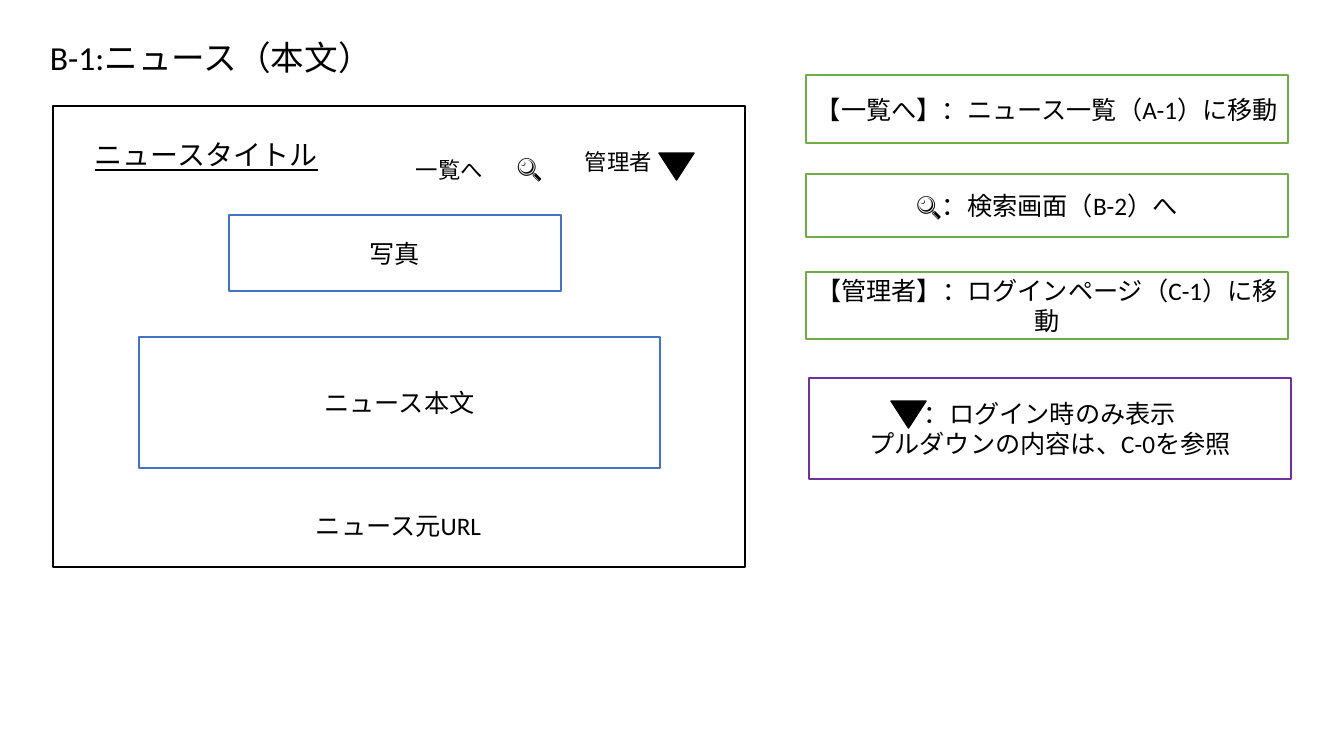
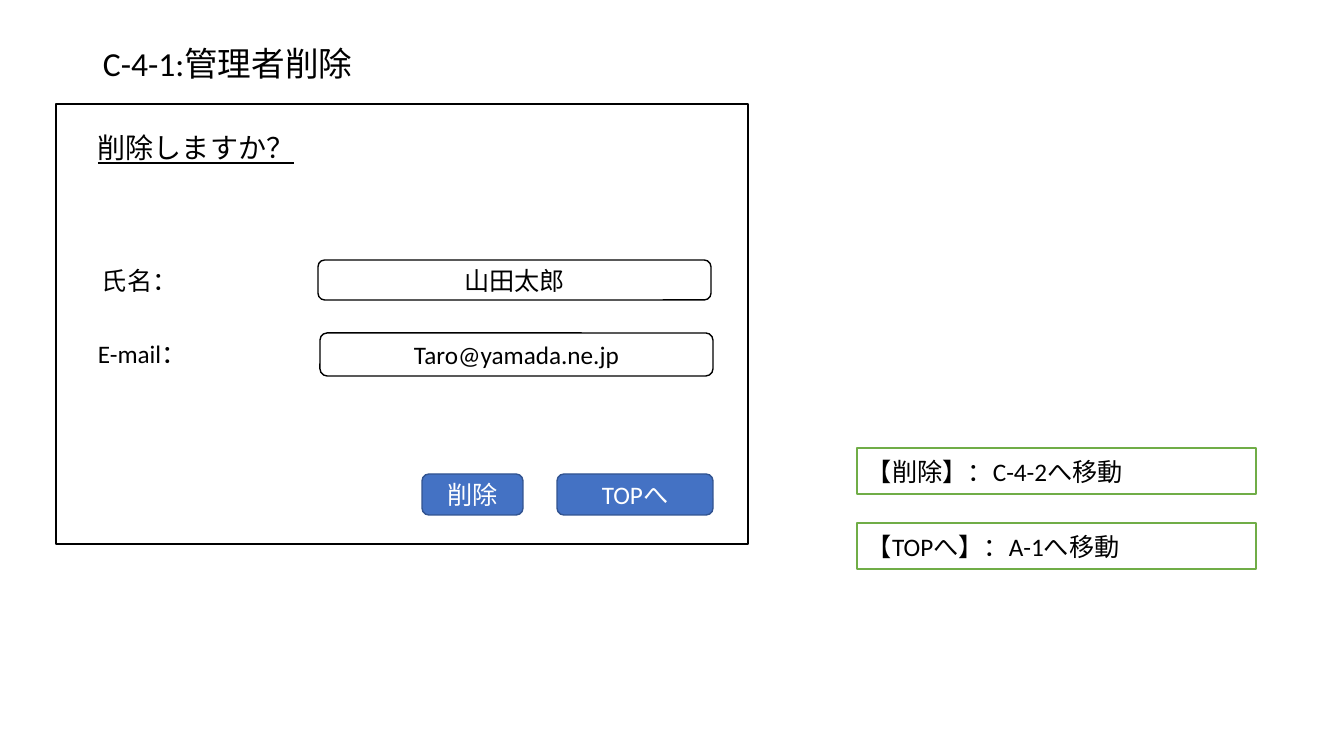
from pptx import Presentation
from pptx.dml.color import RGBColor
from pptx.enum.shapes import MSO_SHAPE
from pptx.enum.text import MSO_ANCHOR, MSO_AUTO_SIZE, PP_ALIGN
from pptx.util import Emu, Pt

RECT = MSO_SHAPE.RECTANGLE
ROUNDED = MSO_SHAPE.ROUNDED_RECTANGLE
TRIANGLE = MSO_SHAPE.ISOSCELES_TRIANGLE
TOP, MIDDLE = MSO_ANCHOR.TOP, MSO_ANCHOR.MIDDLE
LEFT, CENTER = PP_ALIGN.LEFT, PP_ALIGN.CENTER
GROW = MSO_AUTO_SIZE.SHAPE_TO_FIT_TEXT

EMU_PER_PIXEL = 914400 / 100.8
BLACK, WHITE = "000000", "FFFFFF"
BLUE, DARK_BLUE = "4472C4", "325491"
GREEN, PURPLE = "70AD47", "7030A0"


def px(length):
    return Emu(round(length * EMU_PER_PIXEL))


def rgb(value):
    return RGBColor.from_string(value)


class Wireframe:
    font = "Calibri"
    title_size, heading_size, body_size, menu_size = 24, 20, 18, 16

    def __init__(self):
        self.deck = Presentation()
        self.deck.slide_width = px(1344)
        self.deck.slide_height = px(756)
        self.slide = None

    def page(self):
        self.slide = self.deck.slides.add_slide(self.deck.slide_layouts[6])

    def set_text(self, shape, text, size, color, align, anchor):
        frame = shape.text_frame
        frame.word_wrap = True
        frame.vertical_anchor = anchor
        frame.text = text
        for paragraph in frame.paragraphs:
            paragraph.alignment = align
            for run in paragraph.runs:
                run.font.name = self.font
                run.font.size = Pt(size)
                run.font.color.rgb = rgb(color)
        return frame

    def label(self, text, left, top, width, height, size=body_size, anchor=TOP):
        box = self.slide.shapes.add_textbox(px(left), px(top), px(width), px(height))
        frame = self.set_text(box, text, size, BLACK, LEFT, anchor)
        if anchor == TOP:
            frame.auto_size = GROW
        return frame.paragraphs[0]

    def title(self, text, left, top, width, height):
        line = self.label(text, left, top, width, height, self.title_size, MIDDLE)
        line.line_spacing = 0.9

    def heading(self, text, left, top, width):
        line = self.label(text, left, top, width, 44, self.heading_size)
        line.runs[0].font.underline = True

    def shape(self, kind, left, top, width, height, fill, line):
        shape = self.slide.shapes.add_shape(kind, px(left), px(top), px(width), px(height))
        shape.shadow.inherit = False
        shape.fill.solid()
        shape.fill.fore_color.rgb = rgb(fill)
        shape.line.color.rgb = rgb(line)
        shape.line.width = Pt(1)
        return shape

    def screen(self, left, top, width, height):
        self.shape(RECT, left, top, width, height, WHITE, BLACK)

    def panel(self, text, left, top, width, height, line, align=CENTER):
        panel = self.shape(RECT, left, top, width, height, WHITE, line)
        self.set_text(panel, text, self.body_size, BLACK, align, MIDDLE)

    def field(self, text, left, top, width, height):
        field = self.shape(ROUNDED, left, top, width, height, WHITE, BLACK)
        self.set_text(field, text, self.body_size, BLACK, CENTER, MIDDLE)

    def button(self, text, left, top, width):
        button = self.shape(ROUNDED, left, top, width, 41, BLUE, DARK_BLUE)
        self.set_text(button, text, self.body_size, WHITE, CENTER, MIDDLE)

    def dropdown_mark(self, left, top):
        self.shape(TRIANGLE, left, top, 35, 27, BLACK, BLACK).rotation = 180


def news_page(ui):
    ui.page()
    ui.title("B-1:ニュース（本文）", 40, 29, 1159, 62)
    ui.screen(53, 106, 692, 461)
    ui.heading("ニュースタイトル", 85, 133, 426)
    ui.label("一覧へ", 406, 151, 100, 37, ui.menu_size)
    ui.label("🔍", 507, 147, 52, 40)
    ui.label("管理者", 575, 143, 92, 37, ui.menu_size)
    ui.dropdown_mark(659, 153)
    ui.panel("写真", 229, 215, 332, 76, BLUE)
    ui.panel("ニュース本文", 139, 337, 521, 131, BLUE)
    ui.label("ニュース元URL", 306, 505, 186, 40)

    link_notes = [
        ("【一覧へ】：ニュース一覧（A-1）に移動", 75, 68),
        ("🔍：検索画面（B-2）へ", 174, 63),
        ("【管理者】：ログインページ（C-1）に移動", 272, 67),
    ]
    for text, top, height in link_notes:
        ui.panel(text, 806, top, 482, height, GREEN)
    ui.panel("：ログイン時のみ表示\nプルダウンの内容は、C-0を参照", 809, 378, 482, 101, PURPLE)
    ui.dropdown_mark(891, 401)


def delete_page(ui):
    ui.page()
    ui.title("C-4-1:管理者削除", 93, 40, 1158, 52)
    ui.screen(56, 104, 692, 440)
    ui.heading("削除しますか？", 88, 126, 302)
    ui.label("氏名：", 92, 260, 106, 40)
    ui.field("山田太郎", 318, 260, 393, 40)
    ui.label("E-mail：", 88, 333, 120, 42)
    ui.field("Taro@yamada.ne.jp", 320, 333, 393, 43)
    ui.button("削除", 422, 474, 101)
    ui.button("TOPへ", 557, 474, 156)
    for row, text in enumerate(["【削除】：C-4-2へ移動", "【TOPへ】：A-1へ移動"]):
        ui.panel(text, 857, 448 + 75 * row, 399, 46, GREEN, LEFT)


wireframe = Wireframe()
news_page(wireframe)
delete_page(wireframe)
wireframe.deck.save("out.pptx")
